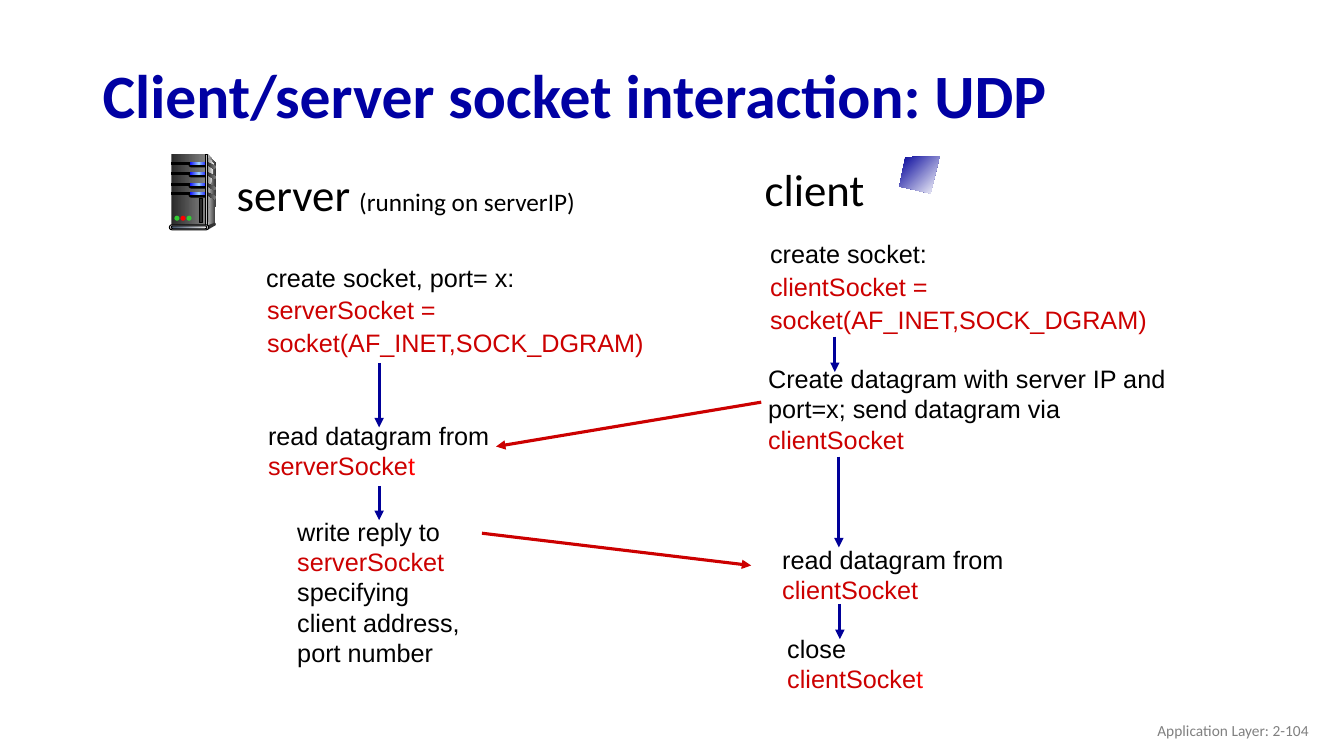
from copy import deepcopy
from lxml.etree import SubElement
from pptx import Presentation
from pptx.dml.color import RGBColor
from pptx.enum.shapes import MSO_CONNECTOR, MSO_SHAPE as SHAPE
from pptx.enum.text import MSO_ANCHOR, MSO_AUTO_SIZE as FIT, PP_ALIGN as ALIGN
from pptx.oxml.ns import qn
from pptx.util import Pt

PX = 9144
BLACK, RED, BRIGHT_RED, BLUE = "000000", "CC0000", "FF0000", "000099"
DARK, MID, SHADE, PALE, GREEN = "292929", "808080", "333333", "DDDDDD", "33CC33"
SIDE = [DARK, MID]
GLOW = ["0000FF", "99CCFF", "0000FF"]


def rgb(code):
    return RGBColor.from_string(code)


def finish(shape, colours, outlined=False, angle=0):
    shape.shadow.inherit = False
    if len(colours) == 1:
        shape.fill.solid()
        shape.fill.fore_color.rgb = rgb(colours[0])
    else:
        shape.fill.gradient()
        shape.fill.gradient_angle = angle
        stops = shape._element.spPr.find(".//" + qn("a:gsLst"))
        for _ in colours[2:]:
            stops.append(deepcopy(stops[0]))
        for i, stop in enumerate(shape.fill.gradient_stops):
            stop.position = i / (len(colours) - 1)
            stop.color.rgb = rgb(colours[i])
    if outlined:
        shape.line.color.rgb = rgb(BLACK)
        shape.line.width = Pt(0.75)
    else:
        shape.line.fill.background()


deck = Presentation()
deck.slide_width, deck.slide_height = 1333 * PX, 750 * PX
slide = deck.slides.add_slide(deck.slide_layouts[6])
shapes = slide.shapes

headings = [
    ((92, 49, 1150, 98), ALIGN.LEFT, True,
     [("Client/server socket interaction: UDP", 44, "0000A3", True)]),
    ((223, 160, 359, 64), ALIGN.CENTER, False,
     [("server", 32, BLACK, False), (" ", 28, BLACK, False),
      ("(running on serverIP)", 18, BLACK, False)]),
    ((748, 155, 120, 64), ALIGN.CENTER, False, [("client", 32, BLACK, False)]),
    ((1008, 705, 300, 40), ALIGN.RIGHT, True,
     [("Application Layer: 2-104", 11, MID, False)]),
]
for box, align, wraps, runs in headings:
    frame = shapes.add_textbox(*[n * PX for n in box]).text_frame
    frame.word_wrap = wraps
    frame.vertical_anchor = MSO_ANCHOR.MIDDLE
    line = frame.paragraphs[0]
    line.alignment = align
    line.line_spacing = 0.9 if box[1] == 49 else 1.0
    for words, size, colour, bold in runs:
        run = line.add_run()
        run.text = words
        run.font.name, run.font.size, run.font.bold = "Calibri", Pt(size), bold
        run.font.color.rgb = rgb(colour)

socket_call = [("socket(AF_INET,SOCK_DGRAM)", RED)]
steps = [
    ((254, 255, 269, 40), False, [[("create socket, port= x:", BLACK)]]),
    ((255, 288, 398, 73), True, [[("serverSocket =", RED)], socket_call]),
    ((256, 411, 242, 71), False,
     [[("read datagram from", BLACK)], [("serverSocke", RED), ("t", BRIGHT_RED)]]),
    ((285, 506, 184, 162), False,
     [[("write reply to", BLACK)], [("serverSocket", RED)],
      [("specifying ", BLACK), ("\n", BLACK), ("client address,", BLACK)],
      [("port number", BLACK)]]),
    ((754, 231, 177, 40), False, [[("create socket:", BLACK)]]),
    ((754, 265, 398, 73), True, [[("clientSocket =", RED)], socket_call]),
    ((752, 355, 418, 101), False,
     [[("Create datagram with server IP and", BLACK)],
      [("port=x; send datagram via", BLACK), ("\n", BLACK), ("clientSocket", RED)]]),
    ((766, 534, 242, 71), False,
     [[("read datagram from", BLACK)], [("clientSocket", RED)]]),
    ((771, 623, 156, 71), False,
     [[("close", BLACK)], [("clientSocke", RED), ("t", BRIGHT_RED)]]),
]
for box, is_call, lines in steps:
    frame = shapes.add_textbox(*[n * PX for n in box]).text_frame
    frame.word_wrap = False
    frame.auto_size = FIT.SHAPE_TO_FIT_TEXT
    frame.vertical_anchor = MSO_ANCHOR.MIDDLE
    for i, runs in enumerate(lines):
        line = frame.add_paragraph() if i else frame.paragraphs[0]
        if is_call:
            line.line_spacing = Pt(20)
            line.space_before = Pt(4 if i else 0)
        for words, colour in runs:
            if words == "\n":
                line.add_line_break()
                continue
            run = line.add_run()
            run.text = words
            run.font.name, run.font.size = "Arial", Pt(18)
            run.font.color.rgb = rgb(colour)

arrows = [
    (376, 360, 376, 424, BLUE), (376, 482, 376, 516, BLUE),
    (828, 334, 828, 369, BLUE), (832, 453, 832, 543, BLUE),
    (833, 599, 833, 634, BLUE),
    (755, 399, 492, 443, RED), (478, 529, 745, 561, RED),
]
for *ends, colour in arrows:
    arrow = shapes.add_connector(MSO_CONNECTOR.STRAIGHT, *[n * PX for n in ends])
    arrow.line.color.rgb = rgb(colour)
    arrow.line.width = Pt(2.25)
    SubElement(arrow.line._get_or_add_ln(), qn("a:tailEnd"), type="triangle")
    SubElement(arrow._element.spPr, qn("a:effectLst"))

slot_tops = (161, 171, 182, 191)
outlines = [
    ([(206, 153), (214, 162), (213, 222), (204, 225)], [PALE, SHADE], 0),
    ([(206, 157), (209, 159), (212, 163), (208, 190), (207, 215), (206, 223)],
     [MID, "F8F8F8"], 0),
    ([(205, 224), (206, 228), (213, 224), (213, 221)], [SHADE], 0),
    ([(932, 155), (898, 156), (892, 185), (923, 192)], [BLUE, "FFFFFF"], 315),
]
for top in slot_tops:
    outlines.append(([(206, top), (214, top + 4), (213, top + 7), (206, top + 3)],
                     SIDE, 0))
for corners, colours, angle in outlines:
    builder = shapes.build_freeform(*corners[0], scale=PX)
    builder.add_line_segments(corners[1:], close=True)
    finish(builder.convert_to_shape(), colours, angle=angle)

server_parts = [(SHAPE.RECTANGLE, (170, 153, 34, 72), SIDE, False)]
for top in slot_tops:
    server_parts += [
        (SHAPE.RECTANGLE, (170, top, 19, 2), [BLACK], True),
        (SHAPE.ROUNDED_RECTANGLE, (187, top, 19, 5), [BLACK], False),
        (SHAPE.ROUNDED_RECTANGLE, (188, top, 18, 3), GLOW, False),
    ]
server_parts += [
    (SHAPE.RECTANGLE, (204, 153, 2, 72), [SHADE, PALE, SHADE], True),
    (SHAPE.OVAL, (212, 221, 2, 3), [SHADE], False),
    (SHAPE.ROUNDED_RECTANGLE, (168, 223, 39, 5), [PALE], True),
    (SHAPE.ROUNDED_RECTANGLE, (170, 224, 35, 3), ["44546A", "E7E6E6"], True),
    (SHAPE.RECTANGLE, (198, 197, 3, 24), [DARK], True),
]
for i, colour in enumerate((GREEN, BRIGHT_RED, GREEN)):
    server_parts.append((SHAPE.OVAL, (173 + 6 * i, 214, 5, 5), [colour], False))
for kind, box, colours, outlined in server_parts:
    part = shapes.add_shape(kind, *[n * PX for n in box])
    if kind == SHAPE.ROUNDED_RECTANGLE:
        part.adjustments[0] = 0.5
    finish(part, colours, outlined)

deck.save("out.pptx")
